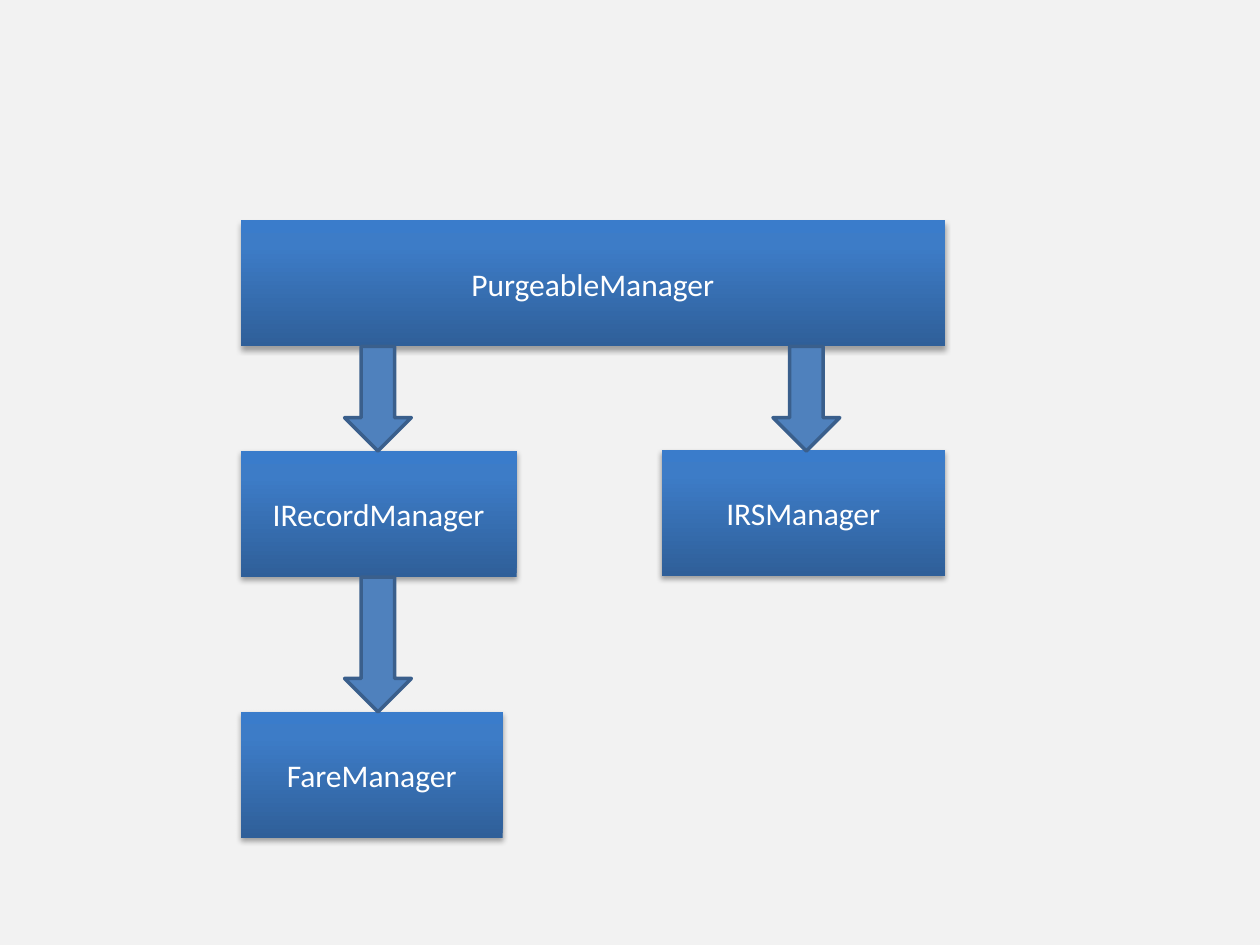
import copy

import pptx
import pptx.dml.color
import pptx.enum.dml
import pptx.enum.shapes
import pptx.enum.text
import pptx.oxml
import pptx.oxml.ns
import pptx.util

# Content: name -> (left column, right column, row)
MANAGERS = {
    "PurgeableManager": ("left", "right", "base"),
    "IRecordManager": ("left", "record end", "record"),
    "IRSManager": ("irs start", "right", "irs"),
    "FareManager": ("left", "fare end", "fare"),
}
# Arrows: (upper row, lower row, centre column)
ARROWS = [
    ("base", "record", "record centre"),
    ("base", "record", "irs centre"),
    ("record", "fare", "record centre"),
]

# Grid in inches
COLUMNS = {"left": 1.91, "record centre": 3.0, "fare end": 3.99, "record end": 4.1,
           "irs start": 5.25, "irs centre": 6.4, "right": 7.5}
ROWS = {"base": 1.75, "irs": 3.57, "record": 3.58, "fare": 5.65}
BOX_HEIGHT = 1
ARROW_WIDTH = 0.53

COLORS = {"background": "F2F2F2", "bottom": "2F5F99", "middle": "3D7CC7",
          "top": "3A7CCB", "arrow": "4F81BD", "outline": "3A5F8C",
          "text": "FFFFFF", "shadow": "000000"}
GRADIENT = [(0, "bottom"), (0.8, "middle"), (1, "top")]
FONT = {"name": "Calibri", "size": pptx.util.Pt(18)}
FRAME = {"word_wrap": True, "vertical_anchor": pptx.enum.text.MSO_ANCHOR.MIDDLE}
SHADOW_XML = (
    f'<a:outerShdw {pptx.oxml.ns.nsdecls("a")} blurRad="40000" dist="23000" '
    'dir="5400000" rotWithShape="0">'
    f'<a:srgbClr val="{COLORS["shadow"]}"><a:alpha val="35000"/></a:srgbClr>'
    '</a:outerShdw>')


def color(name):
    return pptx.dml.color.RGBColor.from_string(COLORS[name])


def set_values(target, values):
    for name, value in values.items():
        setattr(target, name, value)


def add_shape(kind, *box):
    shape = slide.shapes.add_shape(kind, *map(pptx.util.Inches, box))
    shape.shadow.inherit = False
    return shape


def fill_gradient(fill):
    fill.gradient()
    fill.gradient_angle = 90
    first = fill._xPr.find(".//" + pptx.oxml.ns.qn("a:gs"))
    first.addnext(copy.deepcopy(first))
    for stop, (position, name) in zip(fill.gradient_stops, GRADIENT):
        stop.position = position
        stop.color.rgb = color(name)


def add_manager(name, left, right, row):
    start = COLUMNS[left]
    shape = add_shape(pptx.enum.shapes.MSO_SHAPE.RECTANGLE, start, ROWS[row],
                      COLUMNS[right] - start, BOX_HEIGHT)
    fill_gradient(shape.fill)
    shape.line.fill.background()
    effects = shape._element.spPr.find(pptx.oxml.ns.qn("a:effectLst"))
    effects.append(pptx.oxml.parse_xml(SHADOW_XML))
    set_values(shape.text_frame, FRAME)
    paragraph = shape.text_frame.paragraphs[0]
    paragraph.alignment = pptx.enum.text.PP_ALIGN.CENTER
    run = paragraph.add_run()
    run.text = name
    set_values(run.font, FONT)
    run.font.color.rgb = color("text")


def add_arrow(upper, lower, centre):
    top = ROWS[upper] + BOX_HEIGHT
    shape = add_shape(pptx.enum.shapes.MSO_SHAPE.DOWN_ARROW,
                      COLUMNS[centre] - ARROW_WIDTH / 2, top,
                      ARROW_WIDTH, ROWS[lower] - top)
    shape.fill.solid()
    shape.fill.fore_color.rgb = color("arrow")
    shape.line.color.rgb = color("outline")
    shape.line.width = pptx.util.Pt(2)


# Slide
presentation = pptx.Presentation()
set_values(presentation, {"slide_width": pptx.util.Inches(10),
                          "slide_height": pptx.util.Inches(7.5)})
slide = presentation.slides.add_slide(presentation.slide_layouts[6])
slide.background.fill.solid()
slide.background.fill.fore_color.rgb = color("background")

# Manager boxes, then the arrows between them
for name, place in MANAGERS.items():
    add_manager(name, *place)
for arrow in ARROWS:
    add_arrow(*arrow)

presentation.save("out.pptx")
